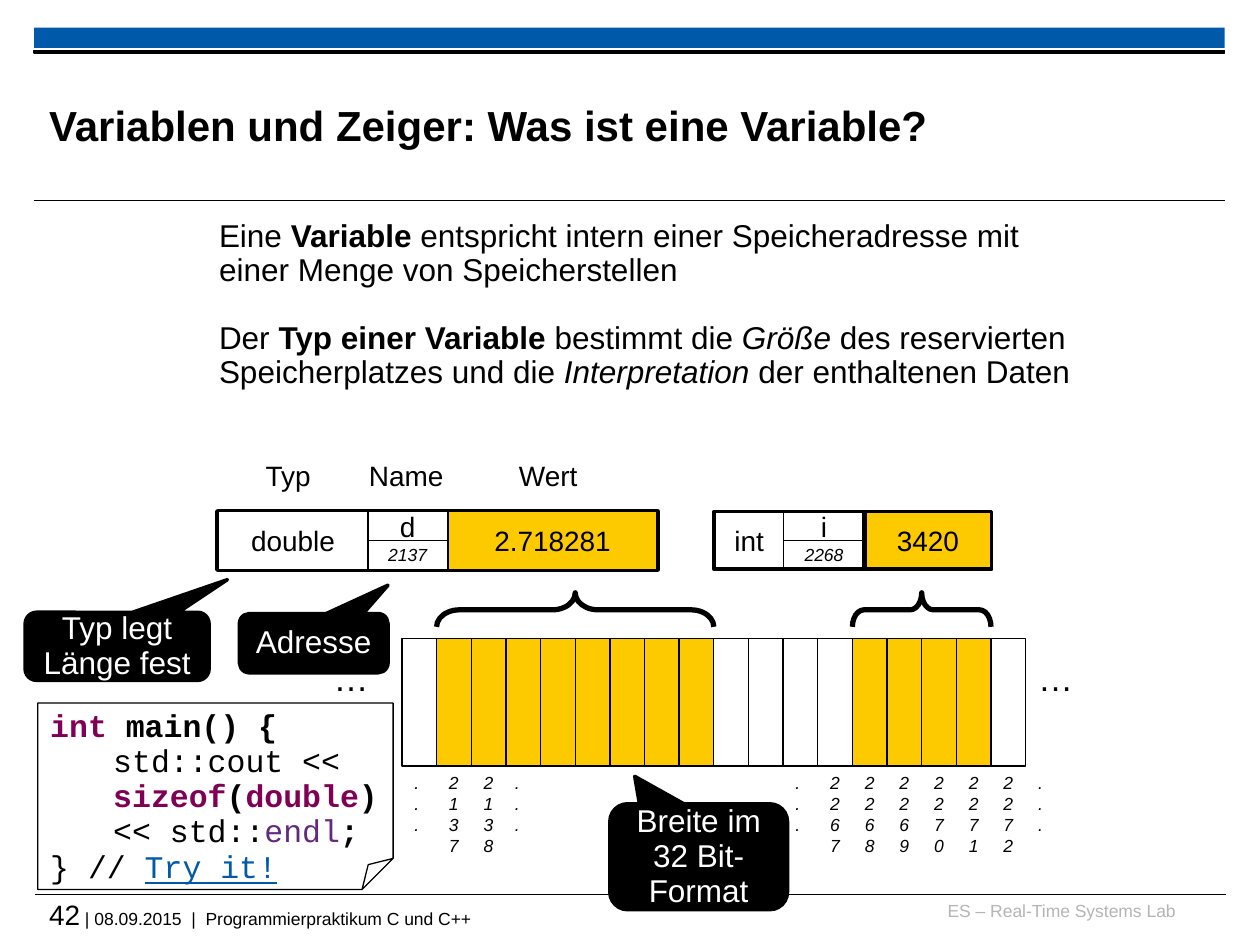
from dataclasses import dataclass
from typing import Optional

from lxml import etree
from pptx import Presentation
from pptx import util as u
from pptx.dml.color import RGBColor
from pptx.enum import shapes, text
from pptx.oxml import ns

BLACK = RGBColor(0x00, 0x00, 0x00)
WHITE = RGBColor(0xFF, 0xFF, 0xFF)
BLUE = RGBColor(0x00, 0x5A, 0xA9)
YELLOW = RGBColor(0xFD, 0xCA, 0x00)
GRAY = RGBColor(0xB5, 0xB5, 0xB5)
KEYWORD = RGBColor(0x7F, 0x00, 0x55)
PURPLE = RGBColor(0x64, 0x28, 0x80)

SHAPE = shapes.MSO_SHAPE
ALIGN = text.PP_ALIGN
ANCHOR = text.MSO_ANCHOR

CELL_LEFT, CELL_TOP, CELL_WIDTH, CELL_HEIGHT = 3.19, 5.07, 0.275, 1.01
CELL_COUNT = 18
ROW_TOP, ROW_HEIGHT = 4.06, 0.46


@dataclass(frozen=True)
class Box:
    left: float
    top: float
    width: float
    height: float

    def lengths(self) -> list:
        return [u.Inches(v) for v in (self.left, self.top, self.width, self.height)]


@dataclass(frozen=True)
class Span:
    text: str
    color: Optional[RGBColor] = None
    bold: Optional[bool] = None
    italic: Optional[bool] = None
    underline: Optional[bool] = None
    size: Optional[float] = None


@dataclass(frozen=True)
class Style:
    size: float
    color: RGBColor = BLACK
    name: str = "Arial"
    bold: bool = False
    italic: bool = False
    align: ALIGN = ALIGN.LEFT
    spacing: float = 1.0
    gap: float = 0
    indent: float = 0
    tab: float = 0


@dataclass(frozen=True)
class Field:
    box: Box
    label: str
    fill: RGBColor = WHITE
    line: float = 0.75
    address: bool = False


@dataclass(frozen=True)
class Callout:
    box: Box
    label: str
    tip_x: float
    tip_y: float


@dataclass(frozen=True)
class Brace:
    first: int
    count: int
    curve: float


def write(frame, lines: list, style: Style) -> None:
    for index, spans in enumerate(lines):
        paragraph = frame.paragraphs[0] if index == 0 else frame.add_paragraph()
        paragraph.alignment = style.align
        paragraph.line_spacing = style.spacing
        if index:
            paragraph.space_before = u.Pt(style.gap)
        properties = paragraph._p.get_or_add_pPr()
        if style.indent:
            properties.set("marL", str(u.Inches(style.indent)))
            properties.set("indent", "0")
        if style.tab:
            tabs = etree.SubElement(properties, ns.qn("a:tabLst"))
            etree.SubElement(tabs, ns.qn("a:tab"), pos=str(u.Inches(style.tab)), algn="l")
        font = paragraph.font
        font.name, font.size = style.name, u.Pt(style.size)
        font.bold, font.italic = style.bold, style.italic
        font.color.rgb = style.color
        for span in [Span(spans)] if isinstance(spans, str) else spans:
            run = paragraph.add_run()
            run.text = span.text
            run.font.bold, run.font.italic = span.bold, span.italic
            run.font.underline = span.underline
            if span.size:
                run.font.size = u.Pt(span.size)
            if span.color is not None:
                run.font.color.rgb = span.color


def add_text(slide, box: Box, lines: list, style: Style, wrap: bool = False,
             inset: bool = True, anchor: ANCHOR = ANCHOR.TOP) -> None:
    frame = slide.shapes.add_textbox(*box.lengths()).text_frame
    frame.word_wrap, frame.vertical_anchor = wrap, anchor
    if inset:
        frame.auto_size = text.MSO_AUTO_SIZE.SHAPE_TO_FIT_TEXT
    else:
        frame.margin_left = frame.margin_top = frame.margin_right = frame.margin_bottom = 0
    write(frame, lines, style)


def add_shape(slide, kind: SHAPE, box: Box, fill: Optional[RGBColor], line: float):
    shape = slide.shapes.add_shape(kind, *box.lengths())
    shape.shadow.inherit = False
    if fill is None:
        shape.fill.background()
    else:
        shape.fill.solid()
        shape.fill.fore_color.rgb = fill
    if line:
        shape.line.color.rgb, shape.line.width = BLACK, u.Pt(line)
    else:
        shape.line.fill.background()
    return shape


def add_line(slide, x1: float, y1: float, x2: float, y2: float, width: float) -> None:
    line = slide.shapes.add_connector(
        shapes.MSO_CONNECTOR.STRAIGHT, *[u.Inches(v) for v in (x1, y1, x2, y2)])
    line.line.color.rgb, line.line.width = BLACK, u.Pt(width)
    etree.SubElement(line._element.spPr, ns.qn("a:effectLst"))


def add_field(slide, field: Field) -> None:
    shape = add_shape(slide, SHAPE.RECTANGLE, field.box, field.fill, field.line)
    shape.text_frame.word_wrap = False
    shape.text_frame.vertical_anchor = ANCHOR.MIDDLE
    write(shape.text_frame, [field.label],
          Style(10 if field.address else 16, italic=field.address, align=ALIGN.CENTER))


def add_callout(slide, callout: Callout) -> None:
    shape = add_shape(slide, SHAPE.ROUNDED_RECTANGULAR_CALLOUT, callout.box, BLACK, 2)
    shape.adjustments[0], shape.adjustments[1] = callout.tip_x, callout.tip_y
    shape.text_frame.word_wrap = True
    shape.text_frame.vertical_anchor = ANCHOR.MIDDLE
    write(shape.text_frame, [callout.label], Style(18, WHITE, align=ALIGN.CENTER, spacing=0.93))


def add_brace(slide, brace: Brace) -> None:
    length, depth = brace.count * CELL_WIDTH, 0.27
    center = CELL_LEFT + brace.first * CELL_WIDTH + length / 2
    box = Box(center - depth / 2, 4.84 - length / 2, depth, length)
    shape = add_shape(slide, SHAPE.LEFT_BRACE, box, None, 3)
    shape.rotation = 90
    shape.adjustments[0] = brace.curve


def add_memory(slide) -> None:
    braces = [Brace(1, 8, 0.67), Brace(13, 4, 0.34)]
    used = {i for b in braces for i in range(b.first, b.first + b.count)}
    for index in range(CELL_COUNT):
        box = Box(CELL_LEFT + index * CELL_WIDTH, CELL_TOP, CELL_WIDTH, CELL_HEIGHT)
        add_shape(slide, SHAPE.RECTANGLE, box, YELLOW if index in used else WHITE, 0.75)
    for brace in braces:
        add_brace(slide, brace)
    addresses = {0: "...", 1: "2137", 2: "2138", 2.9: "...", 11: "...", 18: "..."}
    addresses.update({12 + i: str(2267 + i) for i in range(6)})
    for column, label in addresses.items():
        width, height = (0.24, 0.61) if label == "..." else (0.28, 0.77)
        box = Box(CELL_LEFT + column * CELL_WIDTH, 6.08, width, height)
        add_text(slide, box, list(label), Style(10, italic=True))
    for left in (2.55, 8.14):
        add_text(slide, Box(left, 5.16, 0.56, 0.51), ["…"], Style(20))


def add_variables(slide) -> None:
    half = ROW_HEIGHT / 2
    add_shape(slide, SHAPE.RECTANGLE, Box(1.73, ROW_TOP, 3.49, ROW_HEIGHT), YELLOW, 3)
    for field in (
        Field(Box(1.73, ROW_TOP, 1.19, ROW_HEIGHT), "double"),
        Field(Box(2.92, ROW_TOP, 0.63, half), "d"),
        Field(Box(2.92, ROW_TOP + half, 0.63, half), "2137", address=True),
        Field(Box(3.56, ROW_TOP, 1.65, ROW_HEIGHT), "2.718281", YELLOW, 1),
        Field(Box(5.67, ROW_TOP, 0.55, ROW_HEIGHT), "int"),
        Field(Box(6.22, ROW_TOP, 0.64, half), "i"),
        Field(Box(6.22, ROW_TOP + half, 0.64, half), "2268", address=True),
        Field(Box(6.86, ROW_TOP, 1.01, ROW_HEIGHT), "3420", YELLOW, 0.25),
    ):
        add_field(slide, field)
    add_line(slide, 6.86, ROW_TOP, 6.86, ROW_TOP + ROW_HEIGHT, 3)
    add_shape(slide, SHAPE.RECTANGLE, Box(5.67, ROW_TOP, 2.2, ROW_HEIGHT), None, 2.25)
    for label, left, width in (("Typ", 2.01, 0.66), ("Name", 2.83, 0.93), ("Wert", 4.02, 0.78)):
        add_text(slide, Box(left, 3.59, width, 0.43), [label], Style(16))


def add_frame(slide) -> None:
    add_line(slide, 0.28, 7.1, 9.73, 7.1, 0.6)
    add_shape(slide, SHAPE.RECTANGLE, Box(0.27, 0.22, 9.45, 0.16), BLUE, 0)
    add_line(slide, 0.27, 1.59, 9.72, 1.59, 0.6)
    add_shape(slide, SHAPE.RECTANGLE, Box(0.27, 0.4, 9.45, 0.02), BLACK, 0.75)
    add_text(slide, Box(7.36, 7.14, 1.97, 0.25), ["ES – Real-Time Systems Lab"],
             Style(10, GRAY, align=ALIGN.RIGHT), True, False)
    footer = [Span("42", size=16), Span(" | 08.09.2015  |  Programmierpraktikum C und C++")]
    add_text(slide, Box(0.39, 7.12, 9.33, 0.33), [footer], Style(10), True, False)
    add_text(slide, Box(0.39, 0.53, 7.52, 0.92), ["Variablen und Zeiger: Was ist eine Variable?"],
             Style(24, bold=True), True, False, ANCHOR.MIDDLE)


def add_code(slide) -> None:
    shape = add_shape(slide, SHAPE.FOLDED_CORNER, Box(0.3, 5.58, 2.82, 1.48), None, 0.75)
    shape.text_frame.word_wrap = True
    shape.text_frame.vertical_anchor = ANCHOR.TOP
    write(shape.text_frame, [
        [Span("int ", KEYWORD, True), Span("main() {", bold=True)],
        "\tstd::cout <<",
        [Span("\tsizeof", KEYWORD, True), Span("(", bold=True),
         Span("double", KEYWORD, True), Span(")", bold=True)],
        [Span("\t<< std::"), Span("endl", PURPLE), Span(";", bold=True)],
        [Span("} // "), Span("Try it!", BLUE, underline=True)],
    ], Style(18, name="Courier New", spacing=0.93, tab=0.5))


def main() -> None:
    presentation = Presentation()
    presentation.slide_width, presentation.slide_height = u.Inches(10), u.Inches(7.5)
    slide = presentation.slides.add_slide(presentation.slide_layouts[6])
    add_frame(slide)
    add_memory(slide)
    add_variables(slide)
    add_text(slide, Box(1.14, 1.7, 7.64, 1.74), [
        [Span("Eine"), Span(" Variable ", bold=True),
         Span("entspricht intern einer Speicheradresse mit einer Menge von Speicherstellen")],
        [Span("Der "), Span("Typ einer Variable ", bold=True), Span("bestimmt die "),
         Span("Größe", italic=True), Span(" des reservierten Speicherplatzes und die "),
         Span("Interpretation", italic=True), Span(" der enthaltenen Daten")],
    ], Style(18, spacing=0.9, gap=19.5, indent=0.5), wrap=True)
    for callout in (
        Callout(Box(4.84, 6.38, 1.41, 0.84), "Breite im 32 Bit-Format", -0.36, -0.76),
        Callout(Box(1.9, 4.87, 1.18, 0.47), "Adresse", 0.5, -0.98),
        Callout(Box(0.2, 4.86, 1.46, 0.54), "Typ legt Länge fest", 0.6, -0.98),
    ):
        add_callout(slide, callout)
    add_code(slide)
    presentation.save("out.pptx")


if __name__ == "__main__":
    main()
